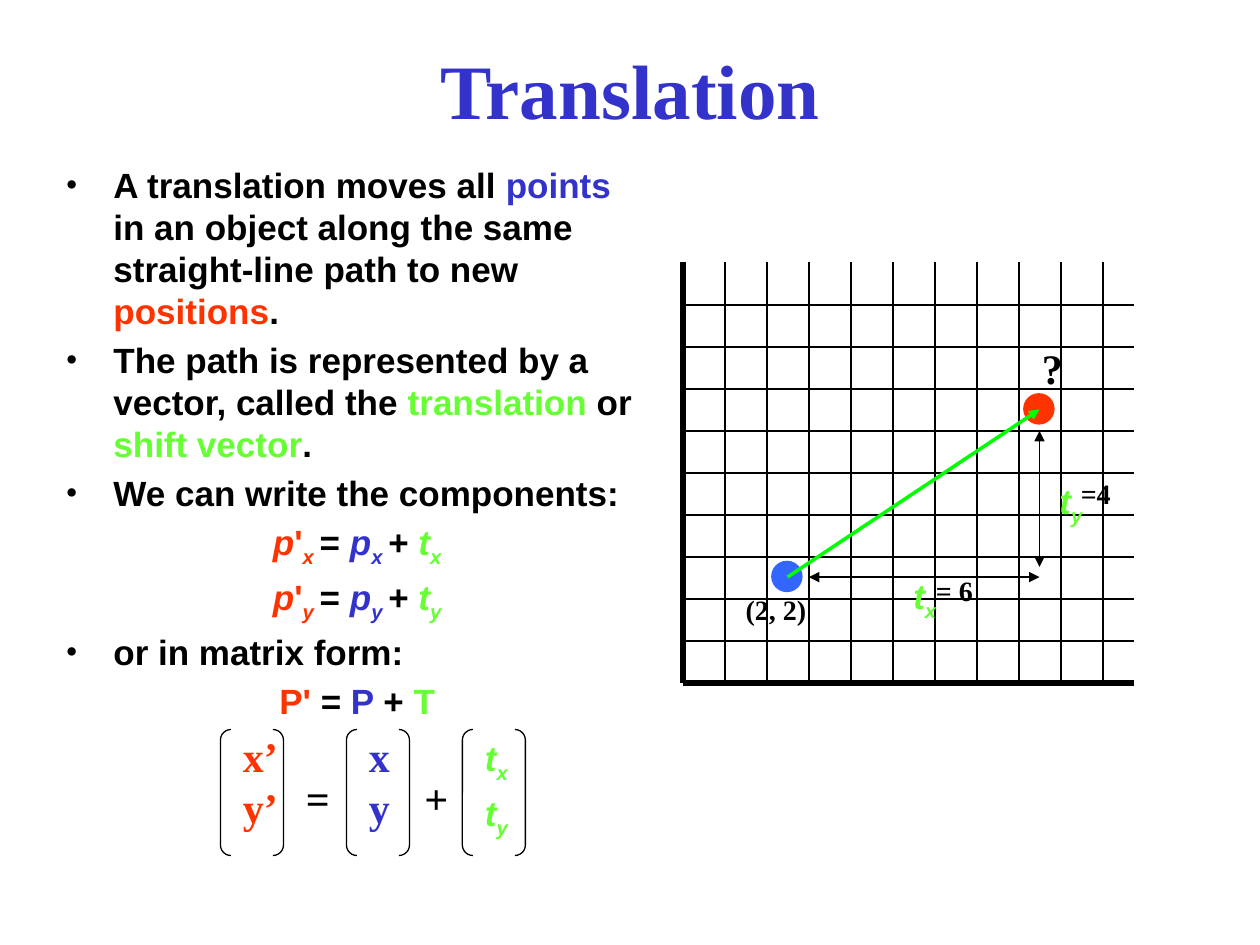
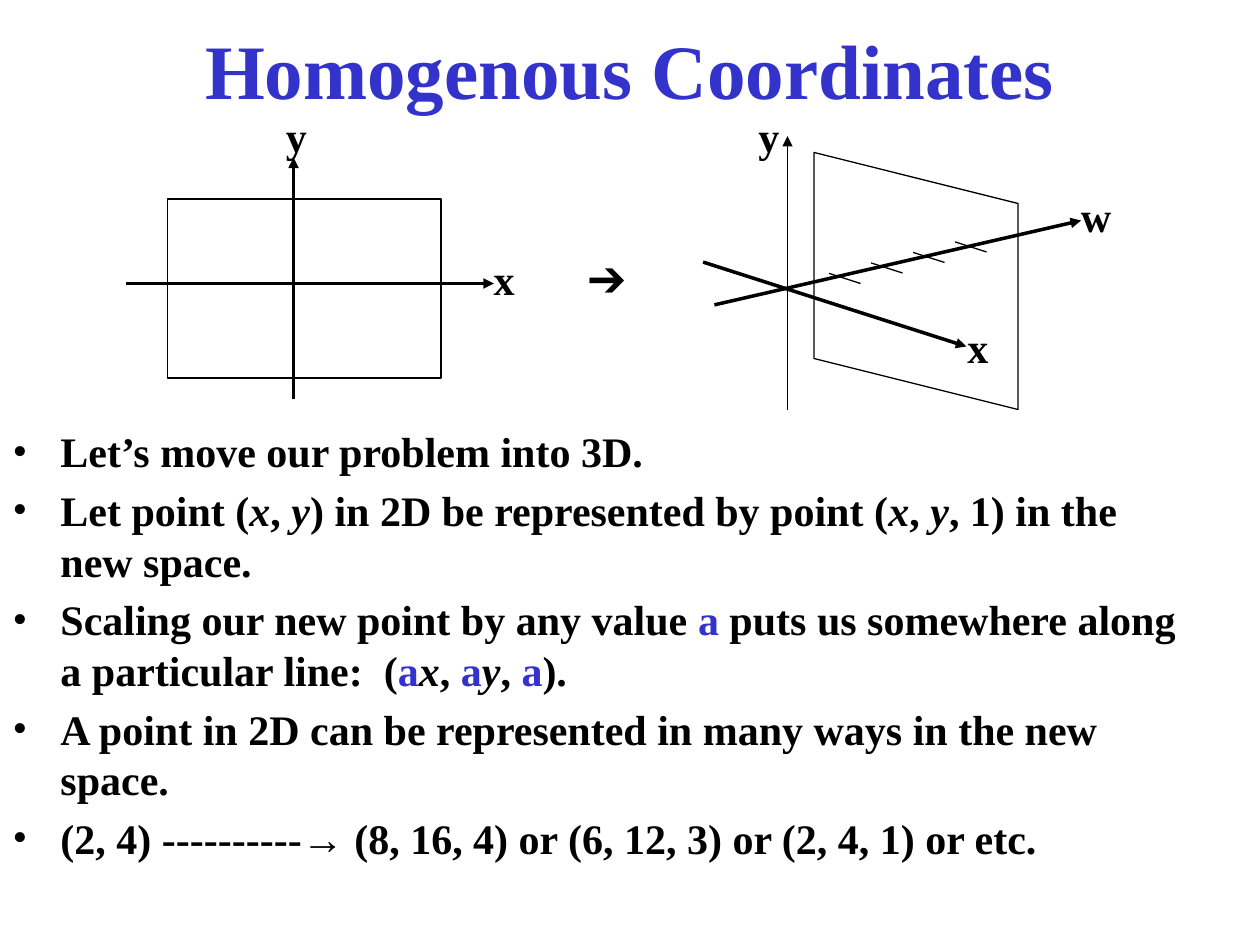
"""Build two slides on translation and homogenous coordinates."""
from dataclasses import dataclass

from lxml.etree import SubElement
from pptx import Presentation
from pptx.dml.color import RGBColor
from pptx.enum.shapes import MSO_CONNECTOR, MSO_SHAPE
from pptx.enum.text import MSO_ANCHOR, MSO_AUTO_SIZE, PP_ALIGN
from pptx.oxml.ns import qn
from pptx.util import Inches, Pt


@dataclass(frozen=True)
class Theme:
    serif: str = "Times New Roman"
    sans: str = "Arial"
    black: str = "000000"
    blue: str = "3333CC"
    red: str = "FF3300"
    lime: str = "66FF33"
    arrow: str = "00FF00"
    dot: str = "3366FF"
    title: int = 44
    large: int = 24
    text: int = 20
    small: int = 16
    thin: float = 0.75
    bold: float = 2
    axis: float = 3


T = Theme()


@dataclass(frozen=True)
class Run:
    text: str
    color: str = T.black
    italic: bool = False
    sub: bool = False


@dataclass(frozen=True)
class Item:
    runs: tuple[Run, ...]
    bullet: bool = True


@dataclass(frozen=True)
class Label:
    left: float
    top: float
    width: float
    lines: tuple[tuple[Run, ...], ...]
    font: str = T.serif
    size: int = T.large
    gap: float = 0


@dataclass(frozen=True)
class Line:
    start: tuple[float, float]
    end: tuple[float, float]
    width: float = T.thin
    color: str = T.black
    head: bool = False
    tail: bool = False


def say(para, text: str, *, font: str = T.serif, size: int = T.large,
        color: str = T.black, italic: bool = False, sub: bool = False) -> None:
    run = para.add_run()
    run.text = text
    face = run.font
    face.name, face.size, face.bold, face.italic = font, Pt(size), True, italic
    face.color.rgb = RGBColor.from_string(color)
    if sub:
        run._r.get_or_add_rPr().set("baseline", "-25000")


def say_all(para, runs: tuple[Run, ...], font: str, size: int) -> None:
    for run in runs:
        say(para, run.text, font=font, size=size, color=run.color,
            italic=run.italic, sub=run.sub)


def place(shape, left: float, top: float, width: float, height: float) -> None:
    shape.left, shape.top = Inches(left), Inches(top)
    shape.width, shape.height = Inches(width), Inches(height)


def nth_para(frame, index: int):
    return frame.add_paragraph() if index else frame.paragraphs[0]


def start_slide(deck, title: str, top: float):
    slide = deck.slides.add_slide(deck.slide_layouts[1])
    head = slide.shapes.title
    place(head, 0.75, top, 8.5, 1.25)
    frame = head.text_frame
    frame.vertical_anchor = MSO_ANCHOR.MIDDLE
    frame.auto_size = MSO_AUTO_SIZE.NONE
    para = frame.paragraphs[0]
    para.alignment = PP_ALIGN.CENTER
    say(para, title, size=T.title, color=T.blue)
    return slide


def set_bullet(para, shown: bool) -> None:
    props = para._p.get_or_add_pPr()
    props.set("marL", str(Inches(0.38)))
    props.set("indent", str(-Inches(0.38)))
    if not shown:
        SubElement(props, qn("a:buNone"))
        return
    tint = SubElement(props, qn("a:buClr"))
    SubElement(tint, qn("a:srgbClr")).set("val", T.black)
    SubElement(props, qn("a:buFont")).set("typeface", T.serif)
    SubElement(props, qn("a:buChar")).set("char", "•")


def fill_body(slide, box: tuple[float, ...], items: list[Item],
              font: str, size: int) -> None:
    body = slide.placeholders[1]
    place(body, *box)
    frame = body.text_frame
    frame.auto_size = MSO_AUTO_SIZE.NONE
    for index, item in enumerate(items):
        para = nth_para(frame, index)
        set_bullet(para, item.bullet)
        para.alignment = PP_ALIGN.LEFT if item.bullet else PP_ALIGN.CENTER
        para.space_before = Pt(size * 0.2 if index else 0)
        say_all(para, item.runs, font, size)


def draw_label(slide, label: Label) -> None:
    box = slide.shapes.add_textbox(Inches(label.left), Inches(label.top),
                                   Inches(label.width), Inches(0.45 * len(label.lines)))
    frame = box.text_frame
    frame.word_wrap = True
    for index, runs in enumerate(label.lines):
        para = nth_para(frame, index)
        para.space_before = Pt(label.gap if index else 0)
        say_all(para, runs, label.font, label.size)


def draw_line(slide, line: Line) -> None:
    link = slide.shapes.add_connector(
        MSO_CONNECTOR.STRAIGHT, *map(Inches, line.start + line.end))
    link.line.width = Pt(line.width)
    link.line.color.rgb = RGBColor.from_string(line.color)
    stroke = link.line._get_or_add_ln()
    for tag, shown in (("a:headEnd", line.head), ("a:tailEnd", line.tail)):
        if shown:
            SubElement(stroke, qn(tag)).set("type", "triangle")
    SubElement(link._element.spPr, qn("a:effectLst"))


def draw_shape(slide, kind, left: float, top: float, width: float,
               height: float, fill: str | None = None):
    shape = slide.shapes.add_shape(kind, *map(Inches, (left, top, width, height)))
    shape.shadow.inherit = False
    if fill:
        shape.fill.solid()
        shape.fill.fore_color.rgb = RGBColor.from_string(fill)
        shape.line.fill.background()
    else:
        shape.fill.background()
        shape.line.color.rgb = RGBColor.from_string(T.black)
        shape.line.width = Pt(T.thin)
    return shape


def shift(axis: str) -> tuple[Run, ...]:
    return Run("t", T.lime, True), Run(axis, T.lime, True, True)


def formula(axis: str) -> Item:
    low = axis + " "
    return Item((Run("p", T.red, True), Run("'", T.red), Run(low, T.red, True, True),
                 Run("= "), Run("p", T.blue, True), Run(low, T.blue, True, True),
                 Run("+ "), *shift(axis)), bullet=False)


def draw_grid(slide) -> None:
    left, right, top, base, step = 5.42, 9, 2.08, 5.42, 1 / 3
    for col in range(11):
        x = left + col * step
        draw_line(slide, Line((x, top), (x, base), T.thin if col else T.axis))
    for row in range(10):
        y = base - row * step
        draw_line(slide, Line((left, y), (right, y), T.thin if row else T.axis))


def draw_matrix(slide) -> None:
    for left in (1.75, 2.75, 3.67):
        draw_shape(slide, MSO_SHAPE.DOUBLE_BRACKET, left, 5.79, 0.5, 1)
    for label in (
        Label(1.83, 5.75, 0.55, ((Run("x’", T.red),), (Run("y’", T.red),))),
        Label(2.83, 5.75, 0.4, ((Run("x", T.blue),), (Run("y", T.blue),))),
        Label(3.75, 5.8, 0.5, (shift("x"), shift("y")), T.sans, T.text, 4),
        Label(2.33, 6.08, 0.45, ((Run("="),),)),
        Label(3.27, 6.08, 0.45, ((Run("+"),),)),
    ):
        draw_label(slide, label)


def build_shift(deck) -> None:
    slide = start_slide(deck, "Translation", 0.08)
    fill_body(slide, (0.42, 1.25, 4.83, 5.42), [
        Item((Run("A translation moves all "), Run("points", T.blue),
              Run(" in an object along the same straight-line path to new "),
              Run("positions", T.red), Run("."))),
        Item((Run("The path is represented by a vector, called the "),
              Run("translation", T.lime), Run(" or "),
              Run("shift vector", T.lime), Run("."))),
        Item((Run("We can write the components:"),)),
        formula("x"),
        formula("y"),
        Item((Run("or in matrix form:"),)),
        Item((Run("P' ", T.red), Run("= "), Run("P ", T.blue), Run("+ "),
              Run("T", T.lime)), bullet=False),
    ], T.sans, T.text)
    draw_grid(slide)
    for left, top, color in ((6.12, 4.45, T.dot), (8.12, 3.12, T.red)):
        draw_shape(slide, MSO_SHAPE.OVAL, left, top, 0.25, 0.25, color)
    for line in (
        Line((6.25, 4.58), (8.25, 3.25), T.bold, T.arrow, tail=True),
        Line((6.42, 4.58), (8.25, 4.58), head=True, tail=True),
        Line((8.25, 4.5), (8.25, 3.42), head=True, tail=True),
    ):
        draw_line(slide, line)
    draw_matrix(slide)
    for label in (
        Label(7.15, 4.51, 0.47, (shift("x"),), T.sans, T.text),
        Label(8.31, 3.76, 0.5, (shift("y"),), T.sans, T.text),
        Label(5.82, 4.65, 0.75, ((Run("(2, 2)"),),), size=T.small),
        Label(7.33, 4.5, 0.6, ((Run("= 6"),),), size=T.small),
        Label(8.48, 3.73, 0.5, ((Run("=4"),),), size=T.small),
        Label(8.17, 2.67, 0.4, ((Run("?"),),)),
    ):
        draw_label(slide, label)


def build_space(deck) -> None:
    slide = start_slide(deck, "Homogenous Coordinates", -0.08)
    x, y, a = Run("x", italic=True), Run("y", italic=True), Run("a", T.blue)
    comma = Run(", ")
    fill_body(slide, (0, 3.33, 9.5, 3.92), [
        Item((Run("Let’s move our problem into 3D."),)),
        Item((Run("Let point ("), x, comma, y,
              Run(") in 2D be represented by point ("), x, comma, y,
              Run(", 1) in the new space."))),
        Item((Run("Scaling our new point by any value "), a,
              Run(" puts us somewhere along a particular line:  ("),
              a, x, comma, a, y, comma, a, Run(")."))),
        Item((Run("A point in 2D can be represented in many ways in the new space."),)),
        Item((Run("(2, 4) ----------→ (8, 16, 4) or (6, 12, 3) or (2, 4, 1) or etc."),)),
    ], T.serif, T.large)
    draw_shape(slide, MSO_SHAPE.RECTANGLE, 1.33, 1.58, 2.17, 1.42)
    plane = draw_shape(slide, MSO_SHAPE.PARALLELOGRAM, 6.25, 1.42, 2.04, 1.62)
    plane.rotation = 270
    plane.adjustments[0] = 0.25
    for start, end, width in (
        ((1, 2.25), (3.92, 2.25), T.bold),
        ((2.33, 3.17), (2.33, 1.25), T.bold),
        ((6.25, 3.25), (6.25, 1.08), T.thin),
        ((5.58, 2.08), (7.67, 2.75), T.bold),
        ((5.67, 2.42), (8.58, 1.75), T.bold),
    ):
        draw_line(slide, Line(start, end, width, tail=True))
    for tick in range(4):
        left, top = 6.58 + tick / 3, 2.17 - tick / 12
        draw_line(slide, Line((left, top), (left + 0.25, top + 0.08)))
    for text, left, top in (("y", 2.17, 0.83), ("y", 5.92, 0.83), ("x", 3.82, 1.96),
                            ("x", 7.58, 2.5), ("w", 8.48, 1.46), ("➔", 4.57, 1.96)):
        draw_label(slide, Label(left, top, 0.56, ((Run(text),),)))


def main() -> None:
    deck = Presentation()
    deck.slide_width, deck.slide_height = Inches(10), Inches(7.5)
    build_shift(deck)
    build_space(deck)
    deck.save("out.pptx")


if __name__ == "__main__":
    main()
